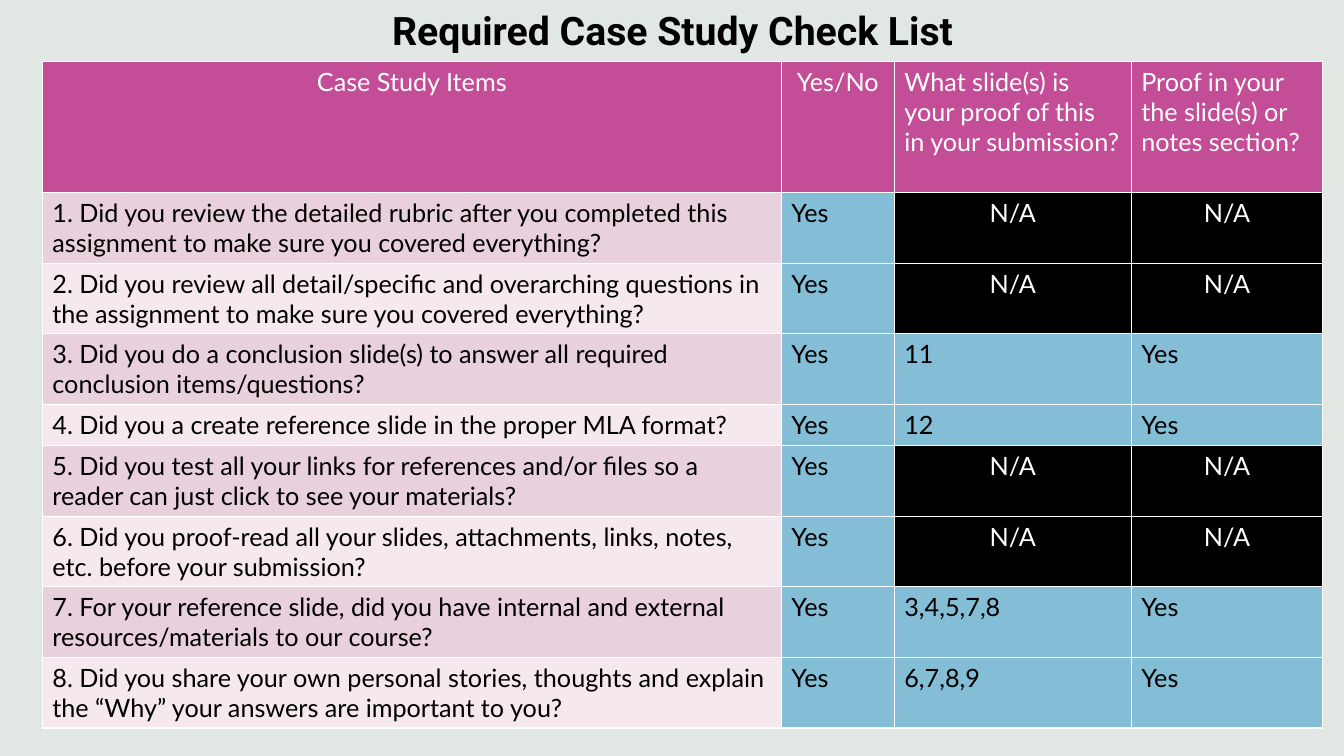
from lxml import etree
from pptx import Presentation
from pptx import util as u
from pptx.dml.color import RGBColor
from pptx.enum import shapes, text
from pptx.oxml.ns import qn

COLORS = {
    "mist": "D5DED8", "black": "000000", "white": "FFFFFF", "header": "C34D96",
    "odd": "E9D0DD", "even": "F5E9EF", "answer": "84BED6",
}
HEADERS = ["Case Study Items", "Yes/No",
           "What slide(s) is your proof of this in your submission?",
           "Proof in your the slide(s) or notes section?"]
NA = "N/A"
# Question, proof slides, proof present; every item is answered "Yes"
ITEMS = [
    ("1. Did you review the detailed rubric after you completed this assignment "
     "to make sure you covered everything?", NA, NA),
    ("2. Did you review all detail/specific and overarching questions in the "
     "assignment to make sure you covered everything?", NA, NA),
    ("3. Did you do a conclusion slide(s) to answer all required conclusion "
     "items/questions?", "11", "Yes"),
    ("4. Did you a create reference slide in the proper MLA format?", "12", "Yes"),
    ("5. Did you test all your links for references and/or files so a reader can "
     "just click to see your materials?", NA, NA),
    ("6. Did you proof-read all your slides, attachments, links, notes, etc. "
     "before your submission?", NA, NA),
    ("7. For your reference slide, did you have internal and external "
     "resources/materials to our course?", "3,4,5,7,8", "Yes"),
    ("8. Did you share your own personal stories, thoughts and explain the “Why” "
     "your answers are important to you?", "6,7,8,9", "Yes"),
]
COL_WIDTHS = [7.33, 1.12, 2.35, 1.9]
HEADER_H, TWO_LINE_H, ONE_LINE_H = 1.3, 0.7, 0.41


def rgb(name):
    return RGBColor.from_string(COLORS[name])


def write(tf, words, size=18, font="Lato", color="black", bold=False, center=False):
    p = tf.paragraphs[0]
    p.alignment = text.PP_ALIGN.CENTER if center else text.PP_ALIGN.LEFT
    r = p.add_run()
    r.text = words
    r.font.size, r.font.name, r.font.bold = u.Pt(size), font, bold
    r.font.color.rgb = rgb(color)


def add_backdrop(s, x, y, w, h):
    sp = s.shapes.add_shape(shapes.MSO_SHAPE.RECTANGLE, *map(u.Inches, (x, y, w, h)))
    sp.shadow.inherit = False
    sp.fill.solid()
    sp.fill.fore_color.rgb = rgb("mist")
    sp.line.fill.background()
    # 70 % opacity, placed behind the title
    clr = sp.fill._xPr.find(qn("a:solidFill"))[0]
    etree.SubElement(clr, qn("a:alpha"), val="70000")
    sp._element.getparent().insert(2, sp._element)


def add_title(s, x, y, w, h):
    sp = s.shapes.title
    sp.left, sp.top, sp.width, sp.height = map(u.Inches, (x, y, w, h))
    tf = sp.text_frame
    tf.word_wrap = True
    tf.auto_size = text.MSO_AUTO_SIZE.NONE
    tf.vertical_anchor = text.MSO_ANCHOR.MIDDLE
    tf.margin_bottom = u.Inches(0.5)
    write(tf, "Required Case Study Check List", size=28, font="Roboto",
          bold=True, center=True)


def style_cell(cell, fill):
    tc_pr = cell._tc.get_or_add_tcPr()
    for side in "LRTB":
        ln = etree.SubElement(tc_pr, qn(f"a:ln{side}"), w=str(u.Pt(1)))
        solid = etree.SubElement(ln, qn("a:solidFill"))
        etree.SubElement(solid, qn("a:srgbClr"), val=COLORS["white"])
    cell.fill.solid()
    cell.fill.fore_color.rgb = rgb(fill)


def add_checklist(s, x, y, w, h):
    rows = [HEADERS] + [(q, "Yes", proof, place) for q, proof, place in ITEMS]
    table = s.shapes.add_table(len(rows), len(HEADERS),
                               *map(u.Inches, (x, y, w, h))).table
    for col, width in zip(table.columns, COL_WIDTHS):
        col.width = u.Inches(width)
    for i, row in enumerate(rows):
        height = HEADER_H if i == 0 else TWO_LINE_H if len(row[0]) > 65 else ONE_LINE_H
        table.rows[i].height = u.Inches(height)
        for j, words in enumerate(row):
            if i == 0:
                fill, color, center = "header", "white", j < 2
            elif words == NA:
                fill, color, center = "black", "white", True
            elif j == 0:
                fill, color, center = "odd" if i % 2 else "even", "black", False
            else:
                fill, color, center = "answer", "black", False
            cell = table.cell(i, j)
            style_cell(cell, fill)
            write(cell.text_frame, words, color=color, center=center)


def main():
    prs = Presentation()
    prs.slide_width, prs.slide_height = u.Inches(13.33), u.Inches(7.5)
    s = prs.slides.add_slide(prs.slide_layouts[5])
    add_backdrop(s, 0, 0, 13.33, 7.5)
    add_title(s, 1.67, 0, 10, 1.05)
    add_checklist(s, 0.42, 0.61, 12.7, 6.61)
    prs.save("out.pptx")


if __name__ == "__main__":
    main()
